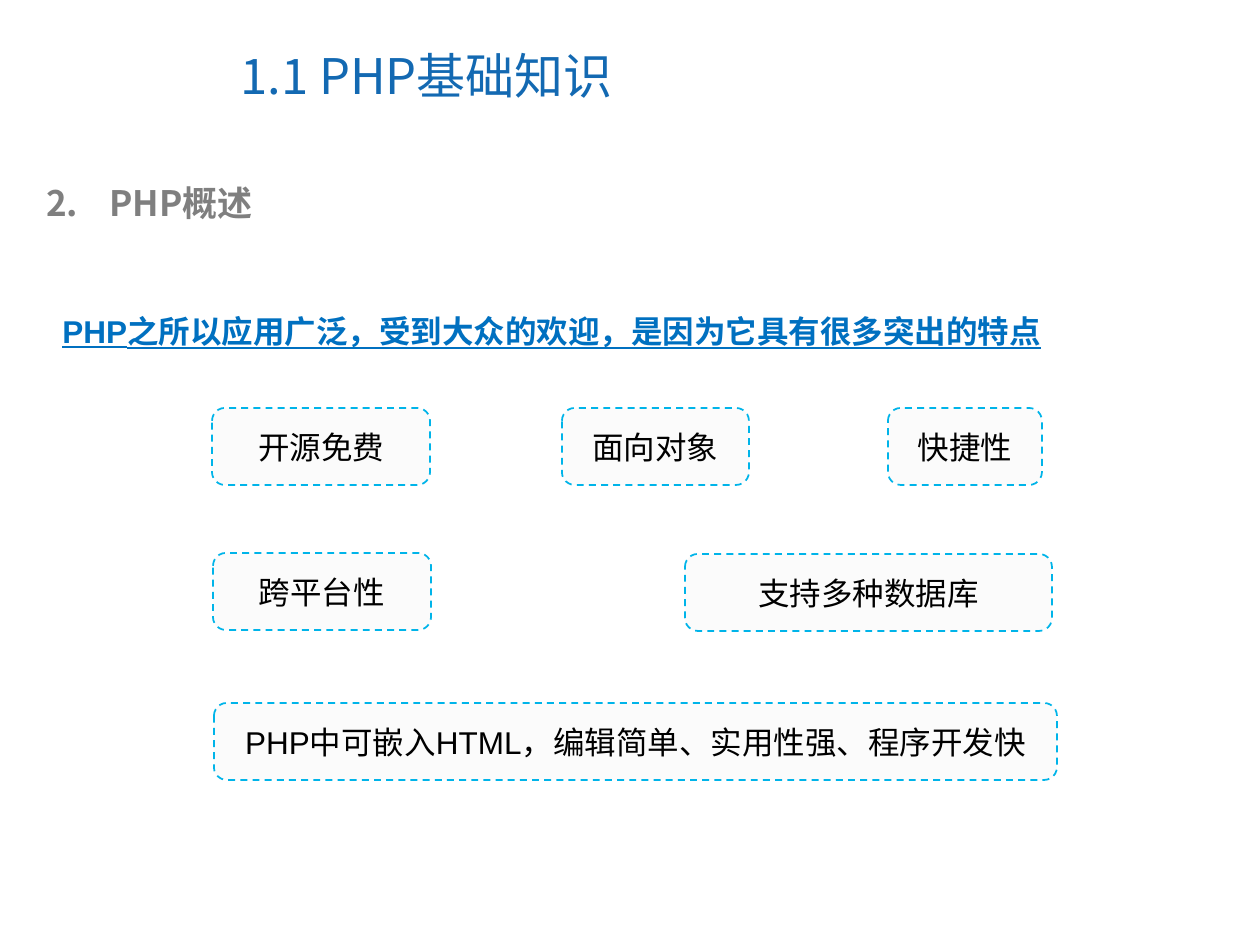
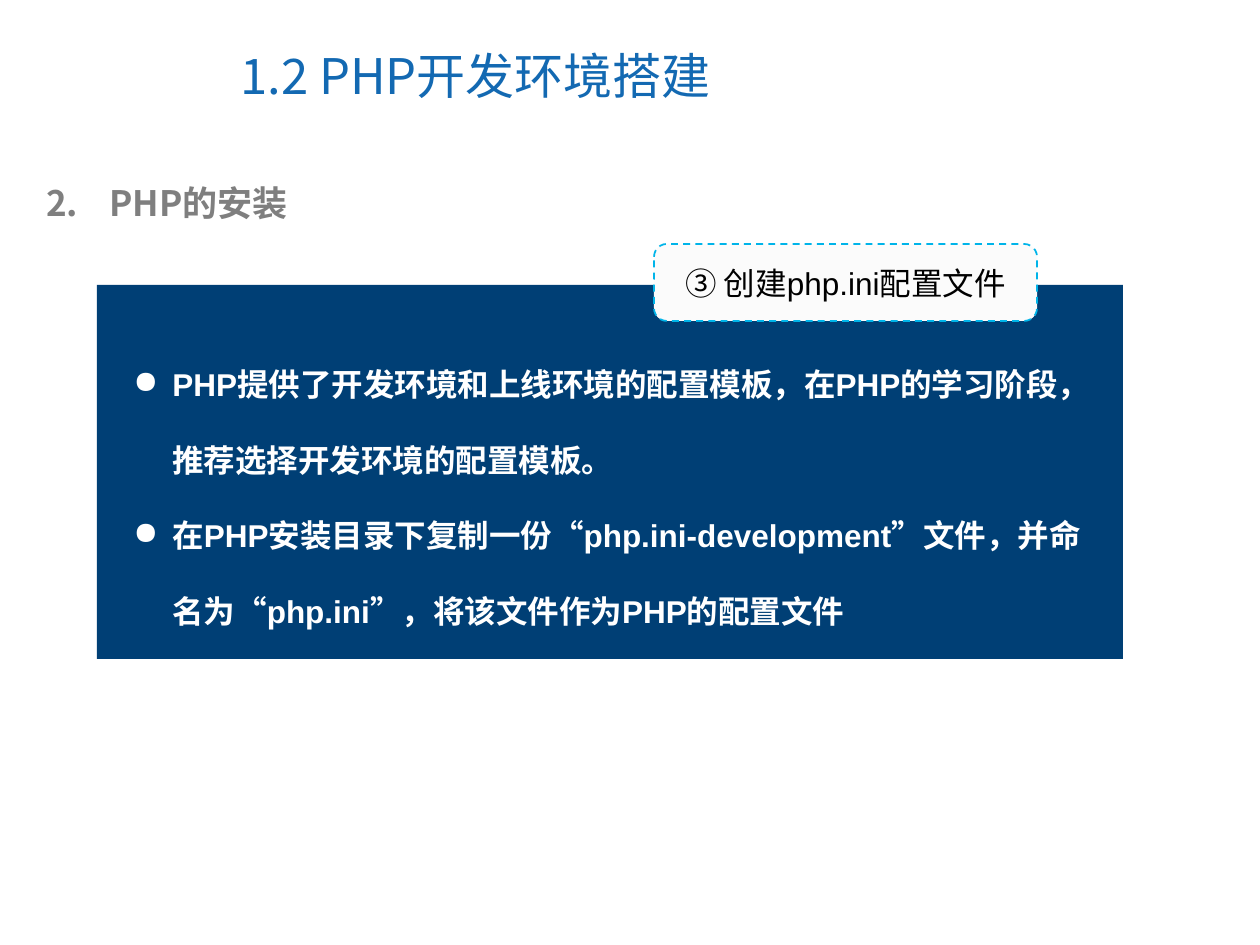
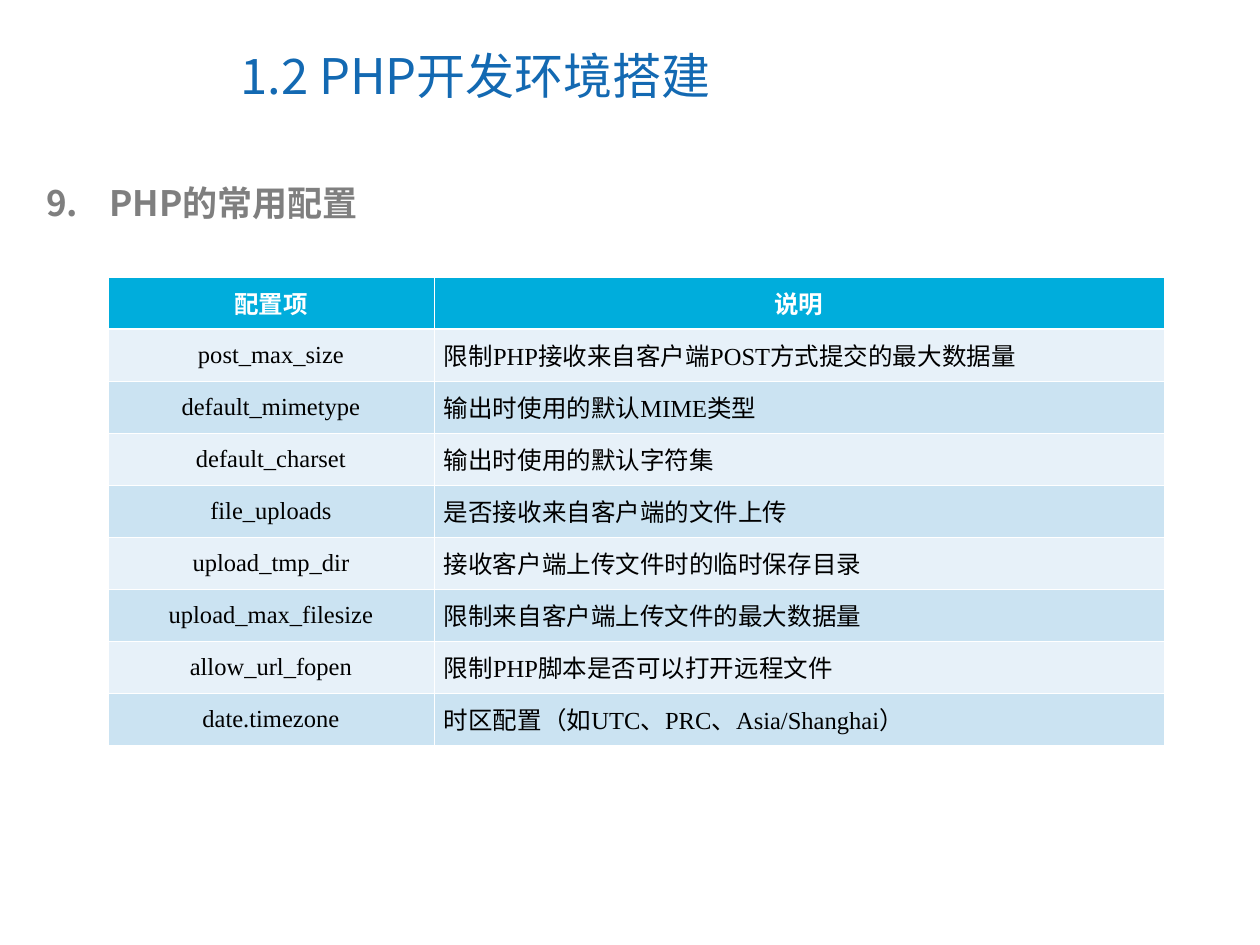
from typing import NamedTuple

import pptx
import pptx.dml.color
import pptx.enum.dml
import pptx.enum.shapes
import pptx.enum.text
import pptx.oxml
import pptx.oxml.ns
import pptx.util
from lxml import etree

RGB = pptx.dml.color.RGBColor
ALIGN = pptx.enum.text.PP_ALIGN
MIDDLE = pptx.enum.text.MSO_ANCHOR.MIDDLE
SHAPE = pptx.enum.shapes.MSO_SHAPE
qn = pptx.oxml.ns.qn

WHITE = RGB(0xFF, 0xFF, 0xFF)
BLACK = RGB(0x00, 0x00, 0x00)
TITLE_BLUE = RGB(0x13, 0x69, 0xB2)
SECTION_GREY = RGB(0x7F, 0x7F, 0x7F)
LEAD_BLUE = RGB(0x00, 0x70, 0xC0)
CHIP_FILL = RGB(0xFB, 0xFB, 0xFB)
CHIP_LINE = RGB(0x00, 0xB4, 0xE9)
PANEL_NAVY = RGB(0x00, 0x3F, 0x75)
HEADER_FILL = RGB(0x00, 0xAD, 0xDC)
ROW_FILLS = (RGB(0xE7, 0xF1, 0xF9), RGB(0xCB, 0xE3, 0xF2))

HEADING_FONT = "Noto Sans CJK SC"
BODY_FONT = "Arial"
TABLE_FONT = "Times New Roman"

PX_PER_INCH = 126
CHIP_HEIGHT = 77
ROW_HEIGHT = 52
THIN, THICK = 0.45, 1.47


class Box(NamedTuple):
    left: int
    top: int
    width: int
    height: int


class Chip(NamedTuple):
    text: str
    left: int
    top: int
    width: int


class Bullet(NamedTuple):
    tag: str
    attrs: dict[str, str]
    indent: int


SLIDE = Box(0, 0, 1260, 945)
TITLE = Box(228, 21, 650, 107)
SECTION = Box(34, 175, 1162, 55)
LEAD = Box(50, 268, 1158, 88)
PANEL = Box(97, 285, 1026, 374)
PANEL_TEXT = Box(121, 321, 982, 315)
COLUMNS = (326, 730)

FEATURES = (
    Chip("开源免费", 212, 408, 218),
    Chip("面向对象", 562, 408, 187),
    Chip("快捷性", 888, 408, 154),
    Chip("跨平台性", 213, 553, 218),
    Chip("支持多种数据库", 685, 554, 367),
    Chip("PHP中可嵌入HTML，编辑简单、实用性强、程序开发快", 214, 703, 843),
)
INI_STEP = Chip("③ 创建php.ini配置文件", 654, 244, 383)
INI_NOTES = (
    "PHP提供了开发环境和上线环境的配置模板，在PHP的学习阶段，推荐选择开发环境的配置模板。",
    "在PHP安装目录下复制一份“php.ini-development”文件，并命名为“php.ini”，将该文件作为PHP的配置文件",
)
SETTINGS = (
    ("配置项", "说明"),
    ("post_max_size", "限制PHP接收来自客户端POST方式提交的最大数据量"),
    ("default_mimetype", "输出时使用的默认MIME类型"),
    ("default_charset", "输出时使用的默认字符集"),
    ("file_uploads", "是否接收来自客户端的文件上传"),
    ("upload_tmp_dir", "接收客户端上传文件时的临时保存目录"),
    ("upload_max_filesize", "限制来自客户端上传文件的最大数据量"),
    ("allow_url_fopen", "限制PHP脚本是否可以打开远程文件"),
    ("date.timezone", "时区配置（如UTC、PRC、Asia/Shanghai）"),
)


def px(n: int) -> int:
    return pptx.util.Emu(round(n * 914400 / PX_PER_INCH))


def emu(box: Box) -> list[int]:
    return [px(n) for n in box]


def set_bullet(p, bullet: Bullet, color: RGB) -> None:
    pPr = p._p.get_or_add_pPr()
    pPr.set("marL", str(px(bullet.indent)))
    pPr.set("indent", str(-px(bullet.indent)))
    clr = etree.SubElement(pPr, qn("a:buClr"))
    etree.SubElement(clr, qn("a:srgbClr"), val=str(color))
    etree.SubElement(pPr, qn(bullet.tag), bullet.attrs)


def add_text(tf, *texts: str, font: str = BODY_FONT, size: int = 18,
             color: RGB = BLACK, bold: bool = False, underline: bool = False,
             align: ALIGN = ALIGN.LEFT, spacing: float | None = None,
             bullet: Bullet | None = None) -> None:
    """Write each text as one paragraph, all in the same format."""
    for i, text in enumerate(texts):
        p = tf.add_paragraph() if i else tf.paragraphs[0]
        if bullet:
            set_bullet(p, bullet, color)
        p.alignment = align
        p.line_spacing = spacing
        r = p.add_run()
        r.text = text
        r.font.name = font
        r.font.size = pptx.util.Pt(size)
        r.font.color.rgb = color
        r.font.bold = bold
        r.font.underline = underline
        etree.SubElement(r._r.get_or_add_rPr(), qn("a:ea"), typeface=HEADING_FONT)


def add_box(s, box: Box, *texts: str, anchor=pptx.enum.text.MSO_ANCHOR.TOP, **fmt) -> None:
    tf = s.shapes.add_textbox(*emu(box)).text_frame
    tf.word_wrap = True
    tf.vertical_anchor = anchor
    add_text(tf, *texts, **fmt)


def add_filled(s, kind: SHAPE, box: Box, fill: RGB):
    sp = s.shapes.add_shape(kind, *emu(box))
    sp.shadow.inherit = False
    sp.fill.solid()
    sp.fill.fore_color.rgb = fill
    sp.line.fill.background()
    return sp


def add_chip(s, chip: Chip) -> None:
    box = Box(chip.left, chip.top, chip.width, CHIP_HEIGHT)
    sp = add_filled(s, SHAPE.ROUNDED_RECTANGLE, box, CHIP_FILL)
    sp.line.color.rgb = CHIP_LINE
    sp.line.width = pptx.util.Pt(1)
    sp.line.dash_style = pptx.enum.dml.MSO_LINE.DASH
    sp.text_frame.word_wrap = True
    sp.text_frame.vertical_anchor = MIDDLE
    add_text(sp.text_frame, chip.text, align=ALIGN.CENTER)


def set_borders(cell, top: float, bottom: float) -> None:
    """Draw white borders, with top and bottom widths in points."""
    tcPr = cell._tc.get_or_add_tcPr()
    for i, (side, width) in enumerate(zip("LRTB", (THIN, THIN, top, bottom))):
        ln = etree.Element(qn(f"a:ln{side}"), w=str(pptx.util.Pt(width)))
        fill = etree.SubElement(ln, qn("a:solidFill"))
        etree.SubElement(fill, qn("a:srgbClr"), val=str(WHITE))
        tcPr.insert(i, ln)


def add_settings_table(s) -> None:
    box = Box(108, 277, sum(COLUMNS), ROW_HEIGHT * len(SETTINGS))
    table = s.shapes.add_table(len(SETTINGS), len(COLUMNS), *emu(box)).table
    table.horz_banding = False
    for column, width in zip(table.columns, COLUMNS):
        column.width = px(width)
    for i, texts in enumerate(SETTINGS):
        header = i == 0
        for j, text in enumerate(texts):
            cell = table.cell(i, j)
            cell.margin_left = cell.margin_right = px(10)
            cell.vertical_anchor = MIDDLE
            cell.fill.solid()
            cell.fill.fore_color.rgb = HEADER_FILL if header else ROW_FILLS[(i - 1) % 2]
            set_borders(cell, THICK if i == 1 else THIN, THICK if header else THIN)
            add_text(cell.text_frame, text, font=TABLE_FONT, size=14, bold=header,
                     color=WHITE if header else BLACK,
                     align=ALIGN.CENTER if header or j == 0 else ALIGN.LEFT)


def add_slide(prs, title: str, number: int, section: str):
    """Add a blank slide with its title and numbered section heading."""
    s = prs.slides.add_slide(prs.slide_layouts[6])
    add_box(s, TITLE, title, anchor=MIDDLE, font=HEADING_FONT, size=28, color=TITLE_BLUE)
    numbering = Bullet("a:buAutoNum", {"type": "arabicPeriod", "startAt": str(number)}, 63)
    add_box(s, SECTION, section, font=HEADING_FONT, size=20, color=SECTION_GREY,
            bold=True, bullet=numbering)
    return s


def main() -> None:
    prs = pptx.Presentation()
    prs.slide_width, prs.slide_height = px(SLIDE.width), px(SLIDE.height)

    s = add_slide(prs, "1.1 PHP基础知识", 2, "PHP概述")
    add_box(s, LEAD, "PHP之所以应用广泛，受到大众的欢迎，是因为它具有很多突出的特点",
            color=LEAD_BLUE, bold=True, underline=True, spacing=2.0)
    for chip in FEATURES:
        add_chip(s, chip)

    s = add_slide(prs, "1.2 PHP开发环境搭建", 2, "PHP的安装")
    add_filled(s, SHAPE.RECTANGLE, PANEL, PANEL_NAVY)
    add_box(s, PANEL_TEXT, *INI_NOTES, color=WHITE, bold=True, spacing=2.0,
            bullet=Bullet("a:buChar", {"char": "●"}, 39))
    add_chip(s, INI_STEP)

    s = add_slide(prs, "1.2 PHP开发环境搭建", 9, "PHP的常用配置")
    add_settings_table(s)

    prs.save("out.pptx")


if __name__ == "__main__":
    main()
